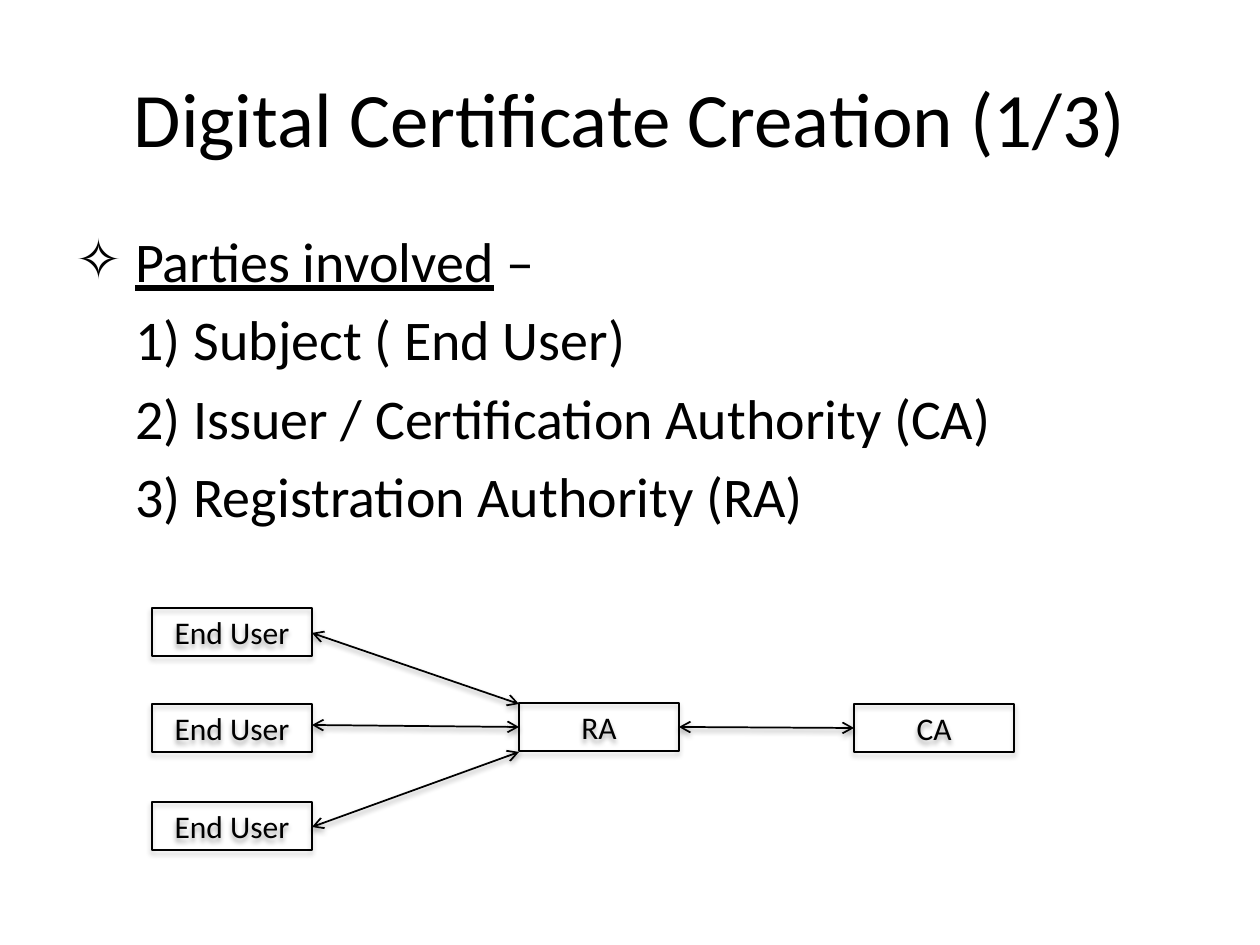
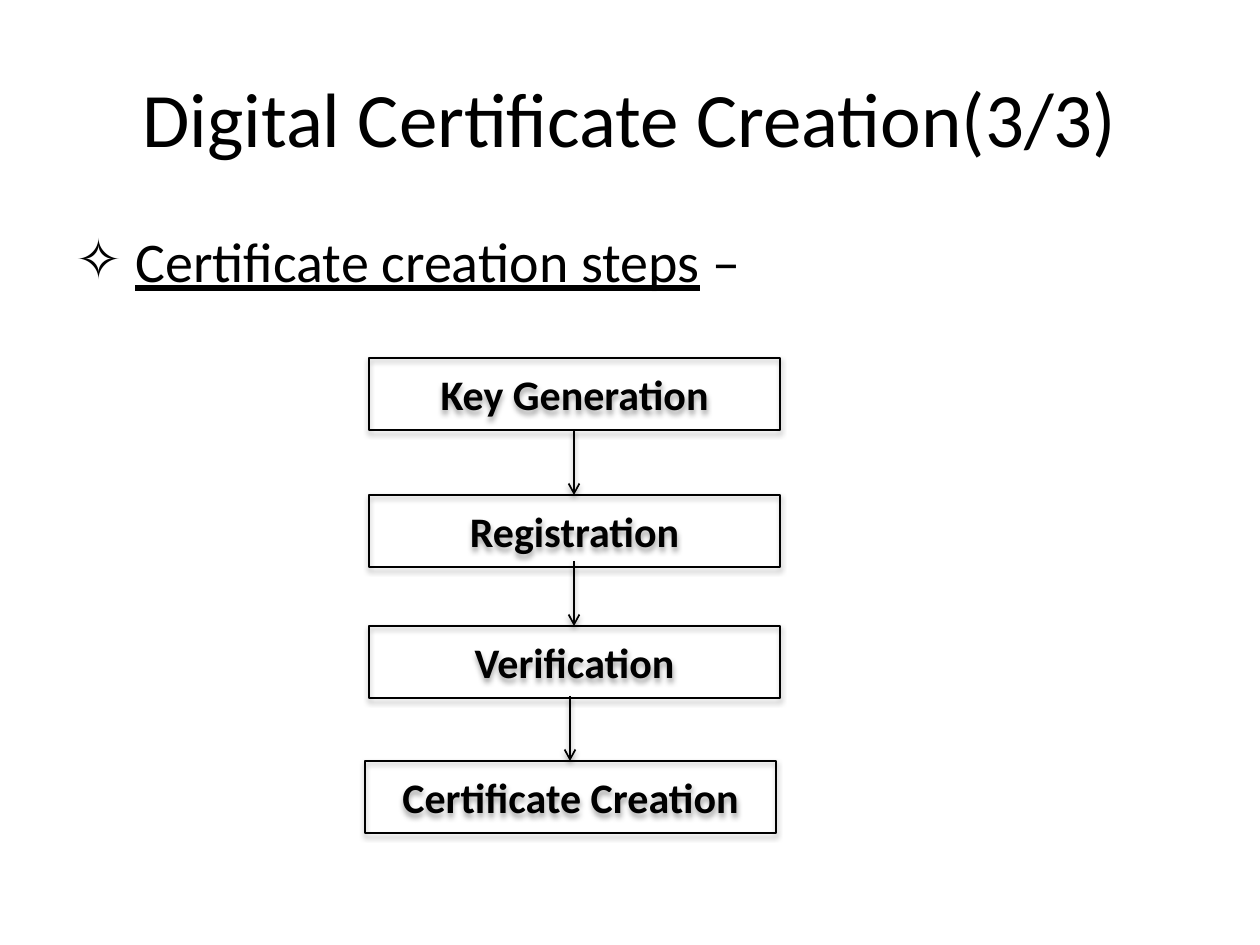
from lxml.etree import SubElement
from pptx import Presentation
from pptx.dml.color import RGBColor
from pptx.enum.shapes import MSO_CONNECTOR, MSO_SHAPE
from pptx.enum.text import MSO_ANCHOR, PP_ALIGN
from pptx.oxml.ns import qn
from pptx.util import Emu, Inches, Pt

PX_PER_INCH = 126
FONT = "Calibri"
COLORS = {"ink": "000000", "paper": "FFFFFF"}
TITLE_AREA = (63, 38, 1134, 157)
BODY_AREA = (63, 220, 1134, 656)
BULLET_INDENT = 47
ITEM_INDENT = 60

PARTIES = {
    "title": "Digital Certificate Creation (1/3)",
    "heading": "Parties involved",
    "items": [
        "1) Subject ( End User)",
        "2) Issuer / Certification Authority (CA)",
        "3) Registration Authority (RA)",
    ],
}
STEPS = {
    "title": "Digital Certificate Creation(3/3)",
    "heading": "Certificate creation steps",
    "items": [],
}

PARTY_SIZE = (160, 48)
USER_LEFT = 152
USER_ROWS = [(608, 633, 704), (704, 725, 727), (802, 827, 752)]
AUTHORITIES = [("RA", 519, 703), ("CA", 854, 704)]

STEP_SIZE = (411, 72)
STEP_ARROW_LENGTH = 65
STEP_BOXES = [
    ("Key Generation", 369, 358),
    ("Registration", 369, 495),
    ("Verification", 369, 626),
    ("Certificate Creation", 365, 761),
]


def px(length):
    return Emu(round(length * Inches(1) / PX_PER_INCH))


def color(name):
    return RGBColor.from_string(COLORS[name])


def style_font(paragraph, size, bold=False):
    paragraph.font.name = FONT
    paragraph.font.size = Pt(size)
    paragraph.font.bold = bold
    paragraph.font.color.rgb = color("ink")


def place(shape, area):
    shape.left, shape.top, shape.width, shape.height = map(px, area)


def add_shadow(shape, distance, opacity):
    effects = SubElement(shape._element.spPr, qn("a:effectLst"))
    shadow = SubElement(effects, qn("a:outerShdw"), blurRad=str(Pt(3.1)),
                        dist=str(Pt(distance)), dir="5400000", rotWithShape="0")
    ink = SubElement(shadow, qn("a:srgbClr"), val=COLORS["ink"])
    SubElement(ink, qn("a:alpha"), val=str(opacity * 1000))


def set_bullet(paragraph, margin, indent, symbol=None):
    properties = paragraph._p.get_or_add_pPr()
    properties.set("marL", str(px(margin)))
    properties.set("indent", str(px(indent)))
    if symbol:
        SubElement(properties, qn("a:buChar"), char=symbol)
    else:
        SubElement(properties, qn("a:buNone"))


def add_page(deck, content):
    page = deck.slides.add_slide(deck.slide_layouts[1])
    page.background.fill.solid()
    page.background.fill.fore_color.rgb = color("paper")

    title = page.shapes.title
    place(title, TITLE_AREA)
    title.text_frame.text = content["title"]
    title.text_frame.vertical_anchor = MSO_ANCHOR.MIDDLE
    title.text_frame.paragraphs[0].alignment = PP_ALIGN.CENTER
    style_font(title.text_frame.paragraphs[0], 44)

    body = page.placeholders[1]
    place(body, BODY_AREA)
    heading = body.text_frame.paragraphs[0]
    for text, underlined in ((" ", False), (content["heading"], True), (" –", False)):
        span = heading.add_run()
        span.text = text
        span.font.underline = underlined
    set_bullet(heading, BULLET_INDENT, -BULLET_INDENT, "✧")
    style_font(heading, 32)
    for item in content["items"]:
        para = body.text_frame.add_paragraph()
        para.text = item
        set_bullet(para, ITEM_INDENT, 0)
        style_font(para, 32)
    return page


def add_box(shapes, text, left, top, size, line_width, font_size, bold=False):
    box = shapes.add_shape(MSO_SHAPE.RECTANGLE, *map(px, (left, top, *size)))
    box.fill.background()
    box.line.color.rgb = color("ink")
    box.line.width = Pt(line_width)
    add_shadow(box, 1.8, 35)
    frame = box.text_frame
    frame.text = text
    frame.vertical_anchor = MSO_ANCHOR.MIDDLE
    para = frame.paragraphs[0]
    para.alignment = PP_ALIGN.CENTER
    style_font(para, font_size, bold)


def add_arrow(shapes, start, end, ends=("headEnd", "tailEnd")):
    arrow = shapes.add_connector(MSO_CONNECTOR.STRAIGHT, *map(px, (*start, *end)))
    arrow.line.color.rgb = color("ink")
    arrow.line.width = Pt(1)
    for end_name in ends:
        SubElement(arrow.line._get_or_add_ln(), qn(f"a:{end_name}"), type="arrow")
    add_shadow(arrow, 1.6, 38)


def draw_parties(page):
    shapes = page.shapes.add_group_shape().shapes
    width, height = PARTY_SIZE
    users = [("End User", USER_LEFT, top) for top, _, _ in USER_ROWS]
    for text, left, top in users + AUTHORITIES:
        add_box(shapes, text, left, top, PARTY_SIZE, 0.75, 18)
    (_, ra_left, ra_top), (_, ca_left, ca_top) = AUTHORITIES
    for _, user_y, ra_y in USER_ROWS:
        add_arrow(shapes, (USER_LEFT + width, user_y), (ra_left, ra_y))
    add_arrow(shapes, (ra_left + width, ra_top + height // 2),
              (ca_left, ca_top + height // 2))


def draw_steps(page):
    shapes = page.shapes.add_group_shape().shapes
    for text, left, top in STEP_BOXES:
        add_box(shapes, text, left, top, STEP_SIZE, 1, 24, bold=True)
    for _, left, top in STEP_BOXES[1:]:
        center = left + STEP_SIZE[0] // 2
        add_arrow(shapes, (center, top - STEP_ARROW_LENGTH), (center, top), ("tailEnd",))


def main():
    deck = Presentation()
    deck.slide_width, deck.slide_height = Inches(10), Inches(7.5)
    draw_parties(add_page(deck, PARTIES))
    draw_steps(add_page(deck, STEPS))
    deck.save("out.pptx")


if __name__ == "__main__":
    main()
